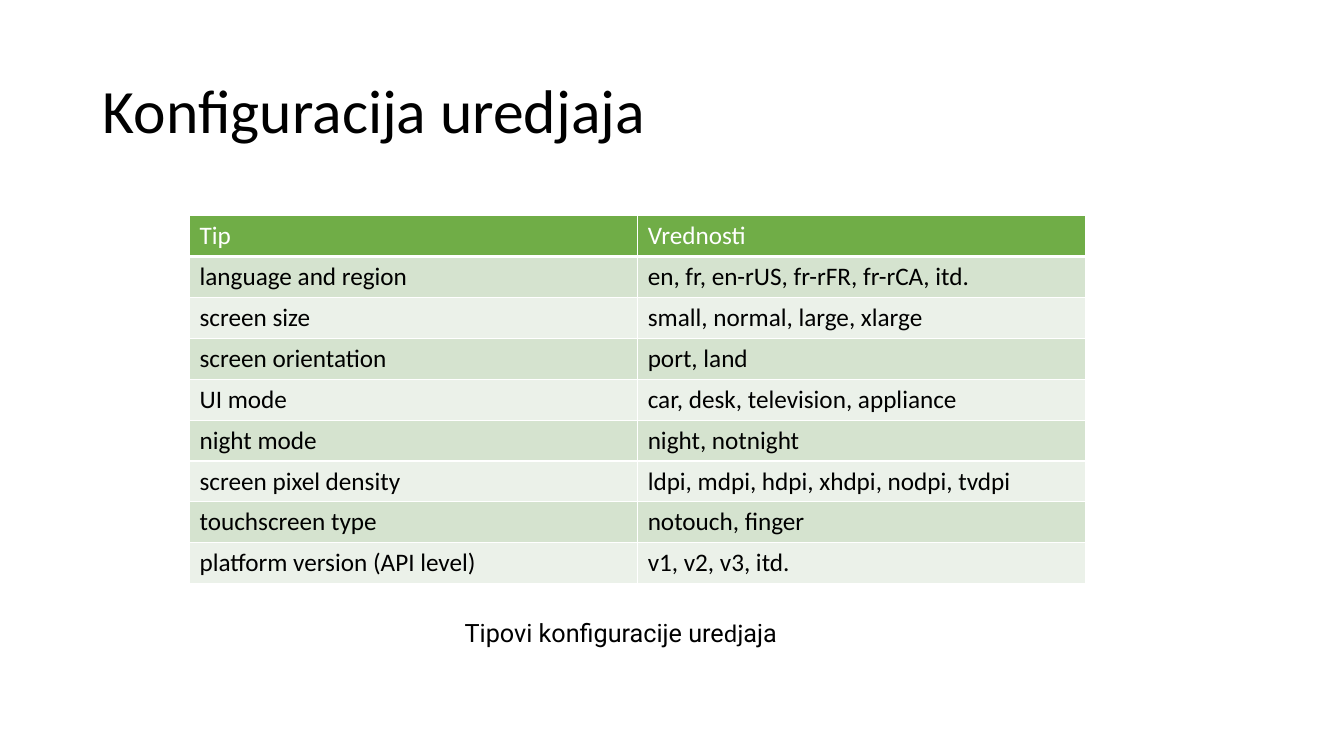
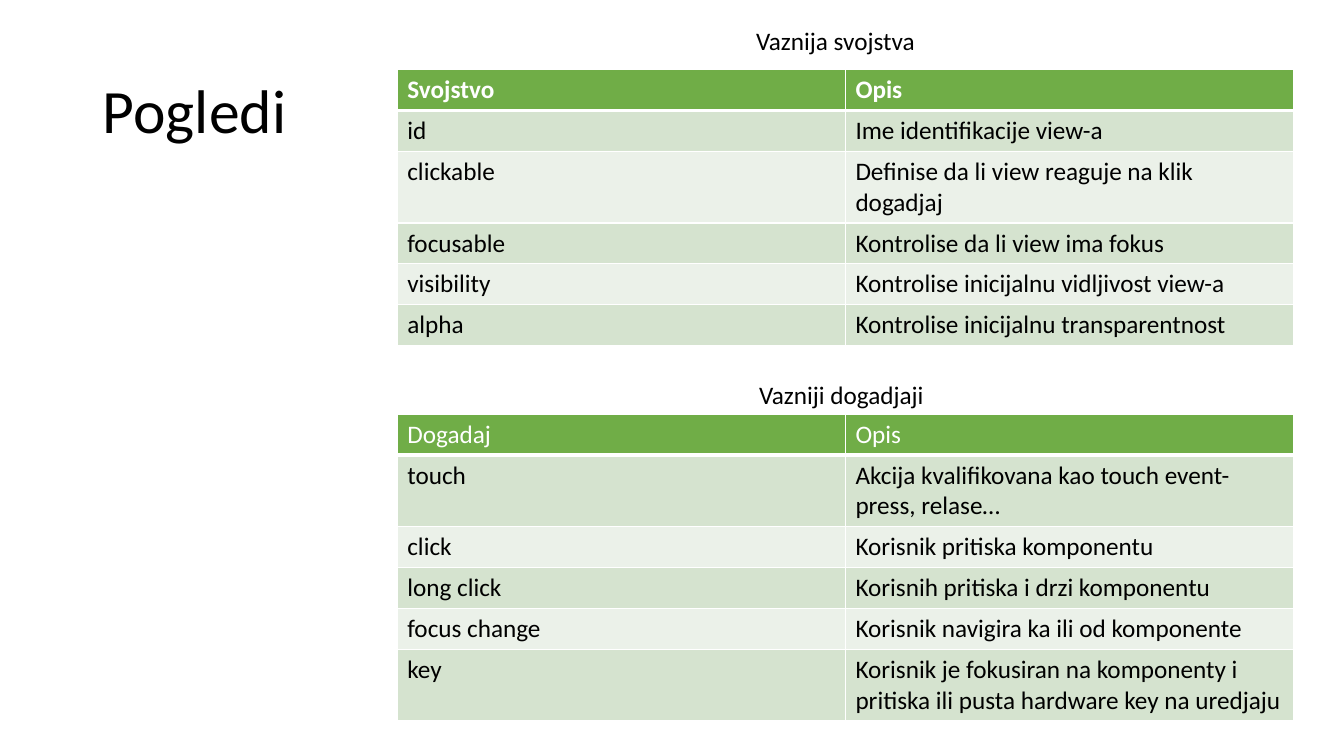
from dataclasses import dataclass

from lxml import etree
from pptx import Presentation, util as u
from pptx.dml.color import RGBColor
from pptx.enum import text
from pptx.oxml import ns

COLOURS = {
    "text": "000000",
    "header": "70AD47",
    "odd_row": "D5E3CF",
    "even_row": "EBF1E9",
    "white": "FFFFFF",
}
BODY_FONT = "Calibri"
CAPTION_FONT = "Roboto"
TABLE_WIDTH = u.Inches(8.89)
ROW_HEIGHT = u.Inches(3.65) // 9
TITLE_ONLY = 5


@dataclass(frozen=True)
class Grid:
    left: float
    top: float
    rows: list[tuple[str, str]]
    bold_header: bool = False


@dataclass(frozen=True)
class Caption:
    left: float
    top: float
    width: float
    runs: list[tuple[str, str]]


@dataclass(frozen=True)
class Page:
    title: str
    grids: list[Grid]
    captions: list[Caption]


PAGES = [
    Page(
        "Konfiguracija uredjaja",
        [Grid(1.88, 2.14, [
            ("Tip", "Vrednosti"),
            ("language and region", "en, fr, en-rUS, fr-rFR, fr-rCA, itd."),
            ("screen size", "small, normal, large, xlarge"),
            ("screen orientation", "port, land"),
            ("UI mode", "car, desk, television, appliance"),
            ("night mode", "night, notnight"),
            ("screen pixel density", "ldpi, mdpi, hdpi, xhdpi, nodpi, tvdpi"),
            ("touchscreen type", "notouch, finger"),
            ("platform version (API level)", "v1, v2, v3, itd."),
        ])],
        [Caption(4.51, 6.08, 3.32, [
            ("Tipovi konfiguracije ure", CAPTION_FONT),
            ("dj", BODY_FONT),
            ("aja", CAPTION_FONT),
        ])],
    ),
    Page(
        "Pogledi",
        [
            Grid(3.94, 0.69, [
                ("Svojstvo", "Opis"),
                ("id", "Ime identifikacije view-a"),
                ("clickable", "Definise da li view reaguje na klik dogadjaj"),
                ("focusable", "Kontrolise da li view ima fokus"),
                ("visibility", "Kontrolise inicijalnu vidljivost view-a"),
                ("alpha", "Kontrolise inicijalnu transparentnost"),
            ], bold_header=True),
            Grid(3.94, 4.11, [
                ("Dogadaj", "Opis"),
                ("touch", "Akcija kvalifikovana kao touch event- press, relase…"),
                ("click", "Korisnik pritiska komponentu"),
                ("long click", "Korisnih pritiska i drzi komponentu"),
                ("focus change", "Korisnik navigira ka ili od komponente"),
                ("key", "Korisnik je fokusiran na komponenty i pritiska "
                        "ili pusta hardware key na uredjaju"),
            ]),
        ],
        [
            Caption(7.43, 3.71, 1.85, [("Vazniji dogadjaji", BODY_FONT)]),
            Caption(7.4, 0.2, 1.79, [("Vaznija svojstva", BODY_FONT)]),
        ],
    ),
]


def add_run(paragraph, words: str, font: str = BODY_FONT, size: int = 18,
            colour: str = "text", bold: bool = False) -> None:
    run = paragraph.add_run()
    run.text = words
    run.font.name = font
    run.font.size = u.Pt(size)
    run.font.bold = bold
    run.font.color.rgb = RGBColor.from_string(COLOURS[colour])


def set_borders(cell, top: int = 1, bottom: int = 1) -> None:
    """Draw white borders; widths are in points."""
    properties = cell._tc.get_or_add_tcPr()
    widths = {"lnL": 1, "lnR": 1, "lnT": top, "lnB": bottom}
    for position, (side, width) in enumerate(widths.items()):
        line = etree.Element(ns.qn(f"a:{side}"), w=str(u.Pt(width)))
        fill = etree.SubElement(line, ns.qn("a:solidFill"))
        etree.SubElement(fill, ns.qn("a:srgbClr"), val=COLOURS["white"])
        properties.insert(position, line)


def add_title(slide, words: str) -> None:
    title = slide.shapes.title
    title.left, title.top = u.Inches(0.92), u.Inches(0.4)
    title.width, title.height = u.Inches(11.5), u.Inches(1.45)
    title.text_frame.vertical_anchor = text.MSO_ANCHOR.MIDDLE
    paragraph = title.text_frame.paragraphs[0]
    paragraph.alignment = text.PP_ALIGN.LEFT
    paragraph.line_spacing = 0.9
    add_run(paragraph, words, size=44)


def add_grid(slide, grid: Grid) -> None:
    row_count, column_count = len(grid.rows), len(grid.rows[0])
    table = slide.shapes.add_table(
        row_count, column_count, u.Inches(grid.left), u.Inches(grid.top),
        TABLE_WIDTH, ROW_HEIGHT * row_count).table
    for row, entries in enumerate(grid.rows):
        is_header = row == 0
        fill = "header" if is_header else "odd_row" if row % 2 else "even_row"
        for column, words in enumerate(entries):
            cell = table.cell(row, column)
            cell.fill.solid()
            cell.fill.fore_color.rgb = RGBColor.from_string(COLOURS[fill])
            set_borders(cell, top=3 if row == 1 else 1, bottom=3 if is_header else 1)
            add_run(cell.text_frame.paragraphs[0], words,
                    colour="white" if is_header else "text",
                    bold=is_header and grid.bold_header)


def add_caption(slide, caption: Caption) -> None:
    box = slide.shapes.add_textbox(
        u.Inches(caption.left), u.Inches(caption.top),
        u.Inches(caption.width), u.Inches(0.4))
    box.text_frame.word_wrap = False
    box.text_frame.auto_size = text.MSO_AUTO_SIZE.SHAPE_TO_FIT_TEXT
    for words, font in caption.runs:
        add_run(box.text_frame.paragraphs[0], words, font)


def main() -> None:
    deck = Presentation()
    deck.slide_width, deck.slide_height = u.Inches(13.33), u.Inches(7.5)
    for page in PAGES:
        slide = deck.slides.add_slide(deck.slide_layouts[TITLE_ONLY])
        add_title(slide, page.title)
        for grid in page.grids:
            add_grid(slide, grid)
        for caption in page.captions:
            add_caption(slide, caption)
    deck.save("out.pptx")


if __name__ == "__main__":
    main()
